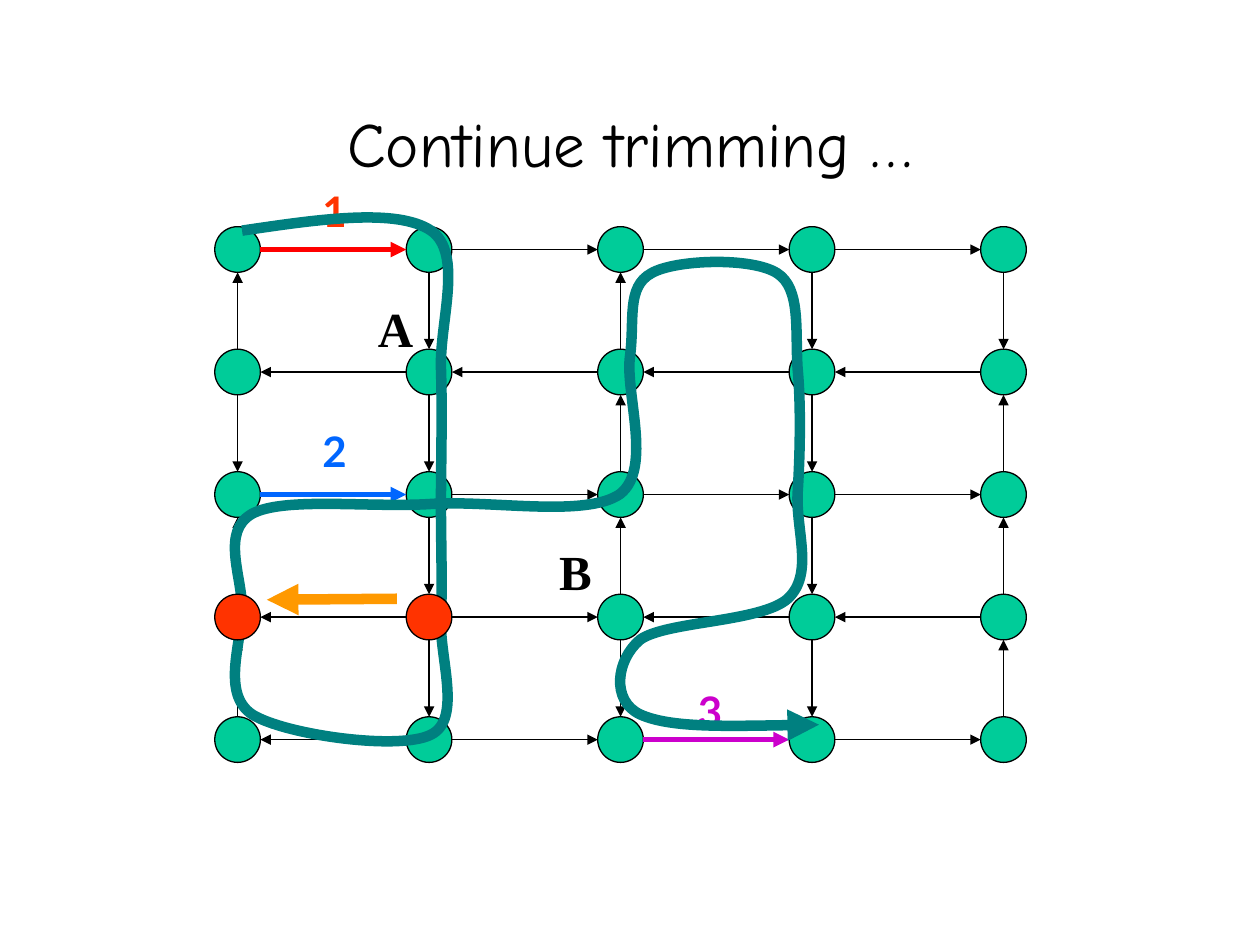
from lxml import etree
from pptx import Presentation
from pptx.dml.color import RGBColor
from pptx.enum import shapes, text
from pptx.oxml import ns
from pptx.util import Cm, Pt

# Content
TITLE = "Continue trimming …"
BLACK, GREEN, RED, TEAL, ORANGE = "000000", "00CC99", "FF3300", "008080", "FF9900"

# Arrow directions: one string per row (left to right), one per column (top to bottom)
ROW_ARROWS = [">>>>", "<<<<", ">>>>", "<><<", "<>>>"]
COLUMN_ARROWS = ["^v^^", "vvvv", "^^^v", "vvvv", "v^^^"]
NUMBERED_EDGES = {(0, 0): "FF0000", (2, 0): "0066FF", (4, 2): "CC00CC"}  # (row, gap)
RED_NODES = [(3, 0), (3, 1)]  # (row, column)

# Text, left, top, width, height, size, font, colour
LABELS = [
    ("1", 6.25, 3.61, 0.99, 1.27, 24, "Lato", RED),
    ("3", 13.82, 13.69, 0.99, 1.27, 24, "Lato", "CC00CC"),
    ("2", 6.25, 8.46, 0.99, 1.27, 24, "Lato", "0066FF"),
    ("A", 7.37, 5.89, 1.22, 1.45, 28, "Times New Roman", BLACK),
    ("B", 11.02, 10.8, 1.17, 1.45, 28, "Times New Roman", BLACK),
]

# Tour: a start point, then two control points and an end point per curve
TOUR_START = (4.88, 4.65)
TOUR_CURVES = [
    [(6.43, 4.42), (8, 4.19), (8.69, 4.65)],
    [(9.35, 5.11), (8.86, 6.5), (8.89, 7.42)],
    [(8.92, 8.33), (8.89, 9.32), (8.89, 10.16)],
    [(8.89, 11), (8.92, 11.71), (8.89, 12.5)],
    [(8.86, 13.26), (9.32, 14.5), (8.69, 14.81)],
    [(8.05, 15.14), (5.72, 14.81), (5.08, 14.4)],
    [(4.45, 13.97), (4.88, 12.95), (4.88, 12.27)],
    [(4.88, 11.61), (4.45, 10.72), (5.08, 10.36)],
    [(5.72, 10.01), (7.44, 10.24), (8.69, 10.16)],
    [(9.91, 10.08), (11.81, 10.44), (12.5, 9.96)],
    [(13.16, 9.45), (12.6, 7.92), (12.7, 7.19)],
    [(12.8, 6.45), (12.62, 5.79), (13.13, 5.51)],
    [(13.61, 5.23), (15.16, 5.18), (15.67, 5.51)],
    [(16.15, 5.82), (16.03, 6.65), (16.08, 7.42)],
    [(16.15, 8.15), (16.13, 9.17), (16.08, 9.96)],
    [(16.05, 10.72), (16.41, 11.58), (15.88, 12.07)],
    [(15.34, 12.55), (13.41, 12.52), (12.9, 12.9)],
    [(12.42, 13.31), (12.32, 14.12), (12.9, 14.4)],
    [(13.51, 14.68), (15.01, 14.63), (16.51, 14.61)],
]
REMOVED_EDGE = [(8, 12.07), (5.38, 12.09)]

# Grid in centimetres
LEFT, TOP, COLUMN_STEP, ROW_STEP, RADIUS = 4.79, 5.03, 3.86, 2.47, 0.46


def colour(value):
    return RGBColor.from_string(value)


def center(row, column):
    return LEFT + column * COLUMN_STEP, TOP + row * ROW_STEP


def set_line(shape, value, width, arrow=False):
    shape.line.width = Pt(width)
    shape.line.color.rgb = colour(value)
    if arrow:
        line = shape.line._get_or_add_ln()
        etree.SubElement(line, ns.qn("a:tailEnd"), type="triangle")


def add_node(slide, row, column, fill):
    x, y = center(row, column)
    node = slide.shapes.add_shape(shapes.MSO_SHAPE.OVAL, Cm(x - RADIUS), Cm(y - RADIUS),
                                  Cm(2 * RADIUS), Cm(2 * RADIUS))
    node.shadow.inherit = False
    node.fill.solid()
    node.fill.fore_color.rgb = colour(fill)
    set_line(node, BLACK, 0.75)


def add_arrow(slide, start, end, value=BLACK, width=0.75):
    arrow = slide.shapes.add_connector(shapes.MSO_CONNECTOR.STRAIGHT,
                                       *[Cm(length) for length in (*start, *end)])
    set_line(arrow, value, width, arrow=True)
    etree.SubElement(arrow._element.spPr, ns.qn("a:effectLst"))


def add_tour(slide):
    builder = slide.shapes.build_freeform(*[Cm(length) for length in TOUR_START])
    builder.add_line_segments([(Cm(x), Cm(y)) for curve in TOUR_CURVES for x, y in curve],
                              close=False)
    tour = builder.convert_to_shape()
    # Turn each three straight segments into one cubic curve
    segments = list(tour._element.iter(ns.qn("a:lnTo")))
    for index in range(0, len(segments), 3):
        curve = etree.Element(ns.qn("a:cubicBezTo"))
        segments[index].addprevious(curve)
        for segment in segments[index:index + 3]:
            curve.append(segment[0])
            segment.getparent().remove(segment)
    tour.shadow.inherit = False
    tour.fill.background()
    set_line(tour, TEAL, 6, arrow=True)


def write(shape, content, frame_format, font_format, value, alignment):
    frame = shape.text_frame
    frame.text = content
    for name, setting in frame_format.items():
        setattr(frame, name, setting)
    paragraph = frame.paragraphs[0]
    paragraph.alignment = alignment
    font = paragraph.runs[0].font
    for name, setting in font_format.items():
        setattr(font, name, setting)
    font.color.rgb = colour(value)


def main():
    presentation = Presentation()
    presentation.slide_width, presentation.slide_height = Cm(25.4), Cm(19.05)
    slide = presentation.slides.add_slide(presentation.slide_layouts[5])

    # Title
    title = slide.shapes.title
    title.left, title.top, title.width, title.height = Cm(1.9), Cm(1.7), Cm(21.6), Cm(2.34)
    write(title, TITLE,
          {"auto_size": text.MSO_AUTO_SIZE.NONE, "vertical_anchor": text.MSO_ANCHOR.MIDDLE},
          {"size": Pt(36), "name": "Comic Neue"}, BLACK, text.PP_ALIGN.CENTER)

    # Green nodes
    for row in range(len(ROW_ARROWS)):
        for column in range(len(COLUMN_ARROWS)):
            if (row, column) not in RED_NODES:
                add_node(slide, row, column, GREEN)

    # Horizontal edges
    for row, directions in enumerate(ROW_ARROWS):
        for gap, direction in enumerate(directions):
            x, y = center(row, gap)
            ends = [(x + RADIUS, y), (x + COLUMN_STEP - RADIUS, y)]
            if direction == "<":
                ends.reverse()
            edge = (row, gap)
            add_arrow(slide, *ends, NUMBERED_EDGES.get(edge, BLACK),
                      3 if edge in NUMBERED_EDGES else 0.75)

    # Vertical edges
    for column, directions in enumerate(COLUMN_ARROWS):
        for gap, direction in enumerate(directions):
            x, y = center(gap, column)
            ends = [(x, y + RADIUS), (x, y + ROW_STEP - RADIUS)]
            if direction == "^":
                ends.reverse()
            add_arrow(slide, *ends)

    # Labels
    for content, left, top, width, height, size, font, value in LABELS:
        label = slide.shapes.add_textbox(Cm(left), Cm(top), Cm(width), Cm(height))
        write(label, content,
              {"word_wrap": False, "auto_size": text.MSO_AUTO_SIZE.SHAPE_TO_FIT_TEXT},
              {"size": Pt(size), "name": font, "bold": True}, value, text.PP_ALIGN.LEFT)

    # Tour, removed edge and the two nodes on top of them
    add_tour(slide)
    add_arrow(slide, *REMOVED_EDGE, ORANGE, 6)
    for row, column in RED_NODES:
        add_node(slide, row, column, RED)

    presentation.save("out.pptx")


if __name__ == "__main__":
    main()
